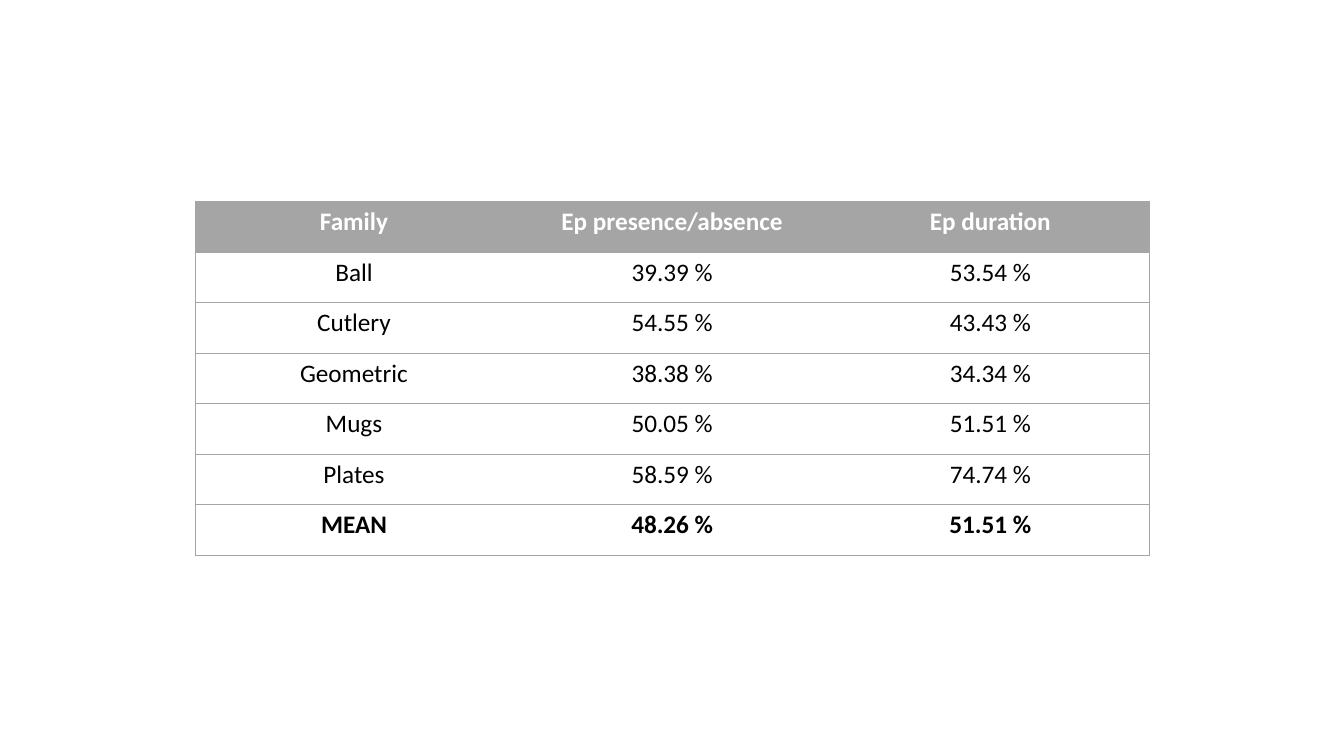
import pptx
import pptx.dml.color
import pptx.enum.text
import pptx.util
from lxml import etree
from pptx.oxml.ns import qn

Pt = pptx.util.Pt

ROWS = [
    ("Family", "Ep presence/absence", "Ep duration"),
    ("Ball", "39.39 %", "53.54 %"),
    ("Cutlery", "54.55 %", "43.43 %"),
    ("Geometric", "38.38 %", "34.34 %"),
    ("Mugs", "50.05 %", "51.51 %"),
    ("Plates", "58.59 %", "74.74 %"),
    ("MEAN", "48.26 %", "51.51 %"),
]
GRAY, WHITE, BLACK = "A5A5A5", "FFFFFF", "000000"
LEFT, TOP = 139.2, 143.9
COLUMN_WIDTH, ROW_HEIGHT = 227.3, 36.1
BORDER_WIDTH = 0.5
BORDER_SIDES = ("lnL", "lnR", "lnT", "lnB")


def color(hex_string):
    return pptx.dml.color.RGBColor.from_string(hex_string)


def set_borders(cell, visible_sides):
    """Draw the given sides in gray and hide the rest."""
    properties = cell._tc.get_or_add_tcPr()
    for side in BORDER_SIDES:
        line = etree.SubElement(properties, qn(f"a:{side}"), w=str(Pt(BORDER_WIDTH)))
        if side in visible_sides:
            fill = etree.SubElement(line, qn("a:solidFill"))
            etree.SubElement(fill, qn("a:srgbClr"), val=GRAY)
        else:
            etree.SubElement(line, qn("a:noFill"))


def format_cell(cell, text, is_header, is_bold):
    cell.fill.solid()
    cell.fill.fore_color.rgb = color(GRAY if is_header else WHITE)
    cell.text_frame.text = text
    paragraph = cell.text_frame.paragraphs[0]
    paragraph.alignment = pptx.enum.text.PP_ALIGN.CENTER
    font = paragraph.runs[0].font
    font.name = "Calibri"
    font.size = Pt(18)
    font.bold = is_bold
    font.color.rgb = color(WHITE if is_header else BLACK)


def add_results_table(slide):
    row_count, column_count = len(ROWS), len(ROWS[0])
    table = slide.shapes.add_table(
        row_count, column_count, Pt(LEFT), Pt(TOP),
        Pt(column_count * COLUMN_WIDTH), Pt(row_count * ROW_HEIGHT),
    ).table
    table.horz_banding = False
    for column in table.columns:
        column.width = Pt(COLUMN_WIDTH)
    for row_index, values in enumerate(ROWS):
        table.rows[row_index].height = Pt(ROW_HEIGHT)
        is_header = row_index == 0
        is_bold = row_index in (0, row_count - 1)
        for column_index, text in enumerate(values):
            cell = table.cell(row_index, column_index)
            sides = {"lnT", "lnB"}
            if column_index == 0:
                sides.add("lnL")
            if column_index == column_count - 1:
                sides.add("lnR")
            set_borders(cell, sides)
            format_cell(cell, text, is_header, is_bold)


def main():
    presentation = pptx.Presentation()
    presentation.slide_width, presentation.slide_height = Pt(960), Pt(540)
    slide = presentation.slides.add_slide(presentation.slide_layouts.get_by_name("Blank"))
    add_results_table(slide)
    presentation.save("out.pptx")


if __name__ == "__main__":
    main()
